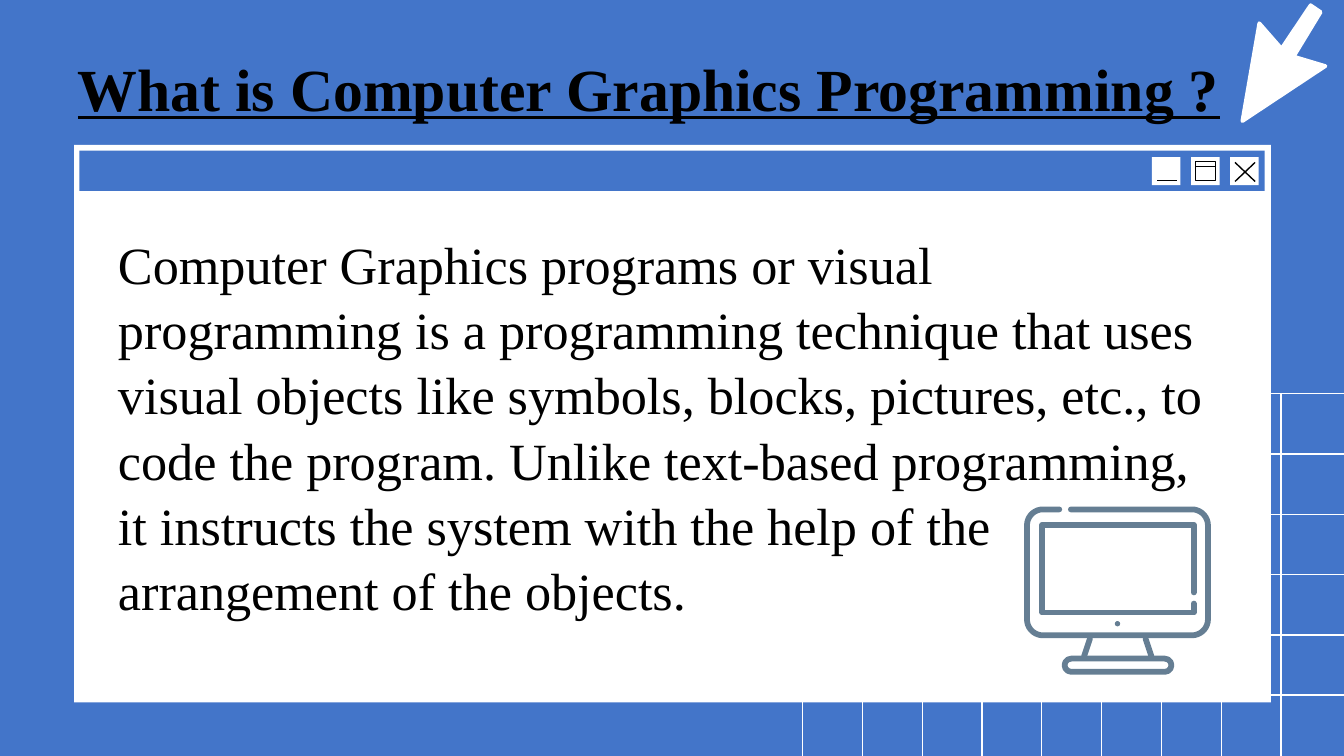
import math
from pptx import Presentation
from pptx import util as u
from pptx.dml.color import RGBColor
from pptx.enum import shapes as s, text as t
from pptx.oxml.ns import qn
from lxml import etree

BLUE = RGBColor(0x43, 0x75, 0xC9)
WHITE = RGBColor(0xFF, 0xFF, 0xFF)
BLACK = RGBColor(0, 0, 0)
STEEL = RGBColor(0x65, 0x7E, 0x93)
FONT = "Times New Roman"
WIDE, HIGH = 25.4, 14.29

TITLE = "What is Computer Graphics Programming ?"
BODY = (
    "Computer Graphics programs or visual programming is a programming "
    "technique that uses visual objects like symbols, blocks, pictures, etc., "
    "to code the program. Unlike text-based programming, it instructs the "
    "system with the help of the arrangement of the objects."
)


def paint(shape, fill=None, line=None, width=0.75):
    """Set fill and line; None means no paint."""
    shape.shadow.inherit = False
    if fill is None:
        shape.fill.background()
    else:
        shape.fill.solid()
        shape.fill.fore_color.rgb = fill
    if line is None:
        shape.line.fill.background()
    else:
        shape.line.color.rgb = line
        shape.line.width = u.Pt(width)


def box(slide, x, y, w, h, kind=s.MSO_SHAPE.RECTANGLE, **look):
    shape = slide.shapes.add_shape(kind, u.Cm(x), u.Cm(y), u.Cm(w), u.Cm(h))
    paint(shape, **look)
    return shape


def rule(slide, x1, y1, x2, y2, color, width=0.75):
    """Straight line without shadow."""
    line = slide.shapes.add_connector(
        s.MSO_CONNECTOR.STRAIGHT, u.Cm(x1), u.Cm(y1), u.Cm(x2), u.Cm(y2))
    line.line.color.rgb = color
    line.line.width = u.Pt(width)
    etree.SubElement(line.element.spPr, qn("a:effectLst"))


def trace(slide, points, close=False, **look):
    """Freeform with round line ends and joins."""
    points = [(u.Cm(x), u.Cm(y)) for x, y in points]
    build = slide.shapes.build_freeform(*points[0])
    build.add_line_segments(points[1:], close=close)
    shape = build.convert_to_shape()
    paint(shape, **look)
    edge = shape.element.spPr.find(qn("a:ln"))
    edge.set("cap", "rnd")
    etree.SubElement(edge, qn("a:round"))


def arc(x, y, r, start):
    """Points of a quarter turn, clockwise from start degrees."""
    turns = [math.radians(start + step) for step in range(0, 91, 10)]
    return [(x + r * math.cos(a), y + r * math.sin(a)) for a in turns]


def write(shape, words, size, bold=False, line=False, space=1.0,
          anchor=t.MSO_ANCHOR.TOP):
    frame = shape.text_frame
    frame.word_wrap = True
    frame.auto_size = t.MSO_AUTO_SIZE.NONE
    frame.vertical_anchor = anchor
    frame.margin_left = frame.margin_right = u.Cm(0.25)
    frame.margin_top = frame.margin_bottom = u.Cm(0.25)
    para = frame.paragraphs[0]
    para.alignment = t.PP_ALIGN.LEFT
    para.line_spacing = space
    para.space_before = u.Pt(0)
    props = para._p.get_or_add_pPr()
    props.set("marL", "0")
    props.set("indent", "0")
    etree.SubElement(props, qn("a:buNone"))
    run = para.add_run()
    run.text = words
    font = run.font
    font.name, font.size, font.color.rgb = FONT, u.Pt(size), BLACK
    font.bold, font.underline = bold, line


def place(shape, x, y, w, h):
    """Move a placeholder and bring it to the front."""
    shape.left, shape.top = u.Cm(x), u.Cm(y)
    shape.width, shape.height = u.Cm(w), u.Cm(h)
    shape.element.getparent().append(shape.element)


def grid(slide):
    left, top = 15.17, 7.44
    for i in range(9):
        x = left + 1.13 * i
        rule(slide, x, top, x, HIGH, WHITE)
    for i in range(6):
        y = top + 1.14 * i
        rule(slide, left, y, WIDE, y, WHITE)


def window(slide):
    box(slide, 1.4, 2.74, 22.62, 10.54, fill=WHITE)
    box(slide, 1.5, 2.85, 22.4, 0.76, fill=BLUE)
    small, large, shut = [21.77 + 0.74 * i for i in range(3)]
    for x in (small, large, shut):
        box(slide, x, 2.97, 0.54, 0.53, fill=WHITE)
    # Minimise, maximise and close signs
    rule(slide, small + 0.1, 3.41, small + 0.48, 3.41, BLACK)
    box(slide, large + 0.08, 3.05, 0.38, 0.36, line=BLACK)
    rule(slide, large + 0.08, 3.15, large + 0.46, 3.15, BLACK)
    for y1, y2 in ((3.07, 3.43), (3.43, 3.07)):
        rule(slide, shut + 0.09, y1, shut + 0.47, y2, BLACK)


def cursor(slide):
    trace(slide, [(23.48, 2.29), (25.05, 1.25), (24.45, 1.07), (24.96, 0.23),
                  (24.77, 0.1), (24.22, 0.92), (23.8, 0.44)],
          close=True, fill=WHITE, line=WHITE, width=2)


def screen(slide):
    pen = dict(line=STEEL, width=3.1)
    # Case with a gap in its top edge
    l, top, r, low, bend = 19.41, 9.63, 22.83, 12.01, 0.3
    trace(slide, [(20.24, top)]
          + arc(r - bend, top + bend, bend, 270)
          + arc(r - bend, low - bend, bend, 0)
          + arc(l + bend, low - bend, bend, 90)
          + arc(l + bend, top + bend, bend, 180)
          + [(20.02, top)], **pen)
    # Panel with a gap in its right edge
    trace(slide, [(22.56, 11.2), (22.56, 9.92), (19.7, 9.92), (19.7, 11.58),
                  (22.56, 11.58), (22.56, 11.41)], **pen)
    # Dot, legs and foot
    box(slide, 21.07, 11.74, 0.1, 0.1, s.MSO_SHAPE.OVAL, fill=STEEL)
    for x, foot in ((20.6, 20.49), (21.65, 21.76)):
        trace(slide, [(x, 12.07), (foot, 12.4)], **pen)
    base = box(slide, 20.12, 12.45, 2.02, 0.25,
               s.MSO_SHAPE.ROUNDED_RECTANGLE, **pen)
    base.adjustments[0] = 0.5


def main():
    deck = Presentation()
    deck.slide_width, deck.slide_height = u.Cm(WIDE), u.Cm(HIGH)
    slide = deck.slides.add_slide(deck.slide_layouts[1])
    back = slide.background.fill
    back.solid()
    back.fore_color.rgb = BLUE

    grid(slide)
    window(slide)

    # Text
    body, title = slide.placeholders[1], slide.shapes.title
    place(body, 1.98, 4.09, 21.44, 8.36)
    write(body, BODY, 28, space=1.04)
    place(title, 1.22, 0.99, 22.17, 1.32)
    write(title, TITLE, 32, bold=True, line=True, anchor=t.MSO_ANCHOR.MIDDLE)

    cursor(slide)
    screen(slide)
    deck.save("out.pptx")


if __name__ == "__main__":
    main()
